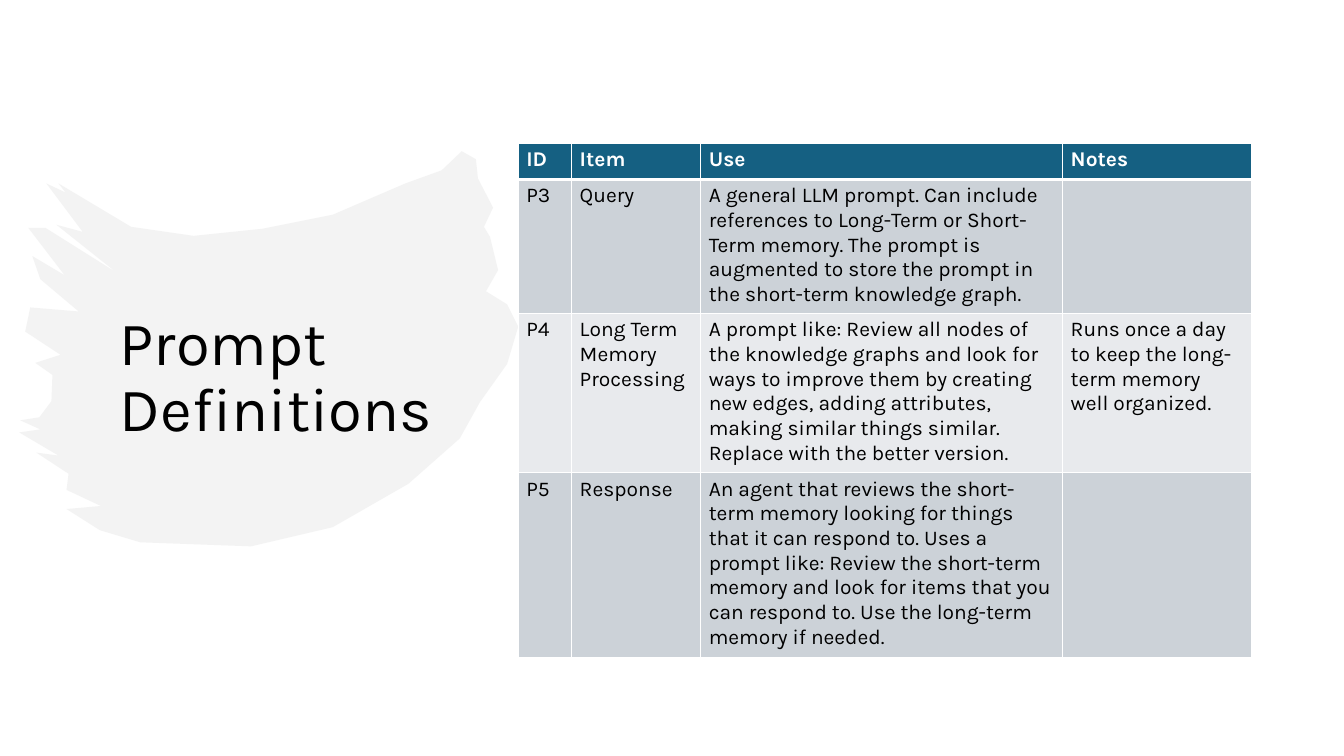
from dataclasses import dataclass

from lxml import etree
from pptx import Presentation
from pptx.dml.color import RGBColor
from pptx.enum.text import MSO_ANCHOR
from pptx.oxml.ns import qn
from pptx.util import Inches, Pt

MIDDLE = MSO_ANCHOR.MIDDLE


@dataclass(frozen=True)
class Theme:
    """Colours, font and type sizes of the slide."""
    font: str = "Karla"
    title_size: int = 44
    table_size: int = 15
    ink: str = "000000"
    white: str = "FFFFFF"
    header: str = "156082"
    bands: tuple = ("CCD2D8", "E8EAED")
    brush: str = "E8E8E8"
    brush_opacity: int = 50


THEME = Theme()

BRUSH_OUTLINE = [
    (458, 150), (472, 158), (474, 177), (489, 206), (480, 225), (486, 235),
    (494, 268), (482, 289), (503, 302), (514, 324), (503, 361), (476, 399),
    (456, 435), (405, 480), (330, 523), (249, 542), (139, 538), (99, 526),
    (66, 505), (100, 502), (66, 486), (68, 470), (36, 449), (58, 452),
    (19, 429), (40, 426), (20, 417), (39, 414), (51, 398), (52, 372),
    (35, 360), (60, 352), (25, 329), (30, 305), (78, 309), (40, 277),
    (32, 254), (64, 273), (28, 226), (45, 226), (115, 270), (56, 223),
    (82, 230), (46, 182), (65, 191), (58, 182), (130, 225), (192, 234),
    (260, 227), (330, 213), (402, 182), (438, 169),
]

COLUMN_WIDTHS = (0.53, 1.28, 3.59, 1.87)
ROW_HEIGHTS = (0.36, 1.33, 1.57, 1.57)
PROMPTS = [
    ("ID", "Item", "Use", "Notes"),
    ("P3", "Query",
     "A general LLM prompt. Can include references to Long-Term or Short-Term "
     "memory. The prompt is augmented to store the prompt in the short-term "
     "knowledge graph.", ""),
    ("P4", "Long Term Memory Processing",
     "A prompt like: Review all nodes of the knowledge graphs and look for ways "
     "to improve them by creating new edges, adding attributes, making similar "
     "things similar. Replace with the better version.",
     "Runs once a day to keep the long-term memory well organized."),
    ("P5", "Response",
     "An agent that reviews the short-term memory looking for things that it can "
     "respond to. Uses a prompt like: Review the short-term memory and look for "
     "items that you can respond to. Use the long-term memory if needed.", ""),
]


def style_text(paragraph, size, color, bold=False):
    """Set the font of every run in a paragraph."""
    for run in paragraph.runs:
        run.font.name = THEME.font
        run.font.size = Pt(size)
        run.font.bold = bold
        run.font.color.rgb = RGBColor.from_string(color)


def add_brush_stroke(slide):
    """Draw the translucent brush stroke behind the title."""
    builder = slide.shapes.build_freeform(*BRUSH_OUTLINE[0], scale=Inches(0.01))
    builder.add_line_segments(BRUSH_OUTLINE[1:], close=True)
    stroke = builder.convert_to_shape()
    stroke.shadow.inherit = False
    stroke.line.fill.background()
    stroke.fill.solid()
    stroke.fill.fore_color.rgb = RGBColor.from_string(THEME.brush)
    color = stroke.fill._xPr.find(qn("a:solidFill"))[0]
    etree.SubElement(color, qn("a:alpha"), val=str(THEME.brush_opacity * 1000))


def add_title(slide, text):
    """Add the slide title, centred vertically."""
    title = slide.shapes.add_textbox(Inches(1.09), Inches(0.75), Inches(3.82), Inches(6.01))
    frame = title.text_frame
    frame.word_wrap = True
    frame.vertical_anchor = MIDDLE
    frame.text = text
    frame.paragraphs[0].line_spacing = 0.9
    style_text(frame.paragraphs[0], THEME.title_size, THEME.ink)


def add_border(cell, side, width):
    """Put a white border on one side of a cell."""
    properties = cell._tc.get_or_add_tcPr()
    border = etree.Element(qn(f"a:{side}"), w=str(Pt(width)))
    fill = etree.SubElement(border, qn("a:solidFill"))
    etree.SubElement(fill, qn("a:srgbClr"), val=THEME.white)
    fill_position = properties.index(properties.find(qn("a:solidFill")))
    properties.insert(fill_position, border)


def fill_cell(cell, text, row):
    """Write and format one cell of the given row."""
    is_header = row == 0
    background = THEME.header if is_header else THEME.bands[(row - 1) % 2]
    cell.fill.solid()
    cell.fill.fore_color.rgb = RGBColor.from_string(background)
    cell.margin_left = cell.margin_right = Inches(0.08)
    cell.margin_top = cell.margin_bottom = Inches(0.04)
    cell.text = text
    style_text(cell.text_frame.paragraphs[0], THEME.table_size,
               THEME.white if is_header else THEME.ink, is_header)
    for side in ("lnL", "lnR", "lnT", "lnB"):
        meets_header = (row, side) in ((0, "lnB"), (1, "lnT"))
        add_border(cell, side, 3 if meets_header else 1)


def add_prompt_table(slide):
    """Add the table of prompt definitions."""
    table = slide.shapes.add_table(
        len(PROMPTS), len(COLUMN_WIDTHS), Inches(5.14), Inches(1.42),
        Inches(sum(COLUMN_WIDTHS)), Inches(sum(ROW_HEIGHTS))).table
    for column, width in zip(table.columns, COLUMN_WIDTHS):
        column.width = Inches(width)
    for row, (height, entries) in enumerate(zip(ROW_HEIGHTS, PROMPTS)):
        table.rows[row].height = Inches(height)
        for column, text in enumerate(entries):
            fill_cell(table.cell(row, column), text, row)


def main():
    """Build the slide and save it."""
    deck = Presentation()
    deck.slide_width, deck.slide_height = Inches(13.33), Inches(7.5)
    slide = deck.slides.add_slide(deck.slide_layouts[6])
    add_brush_stroke(slide)
    add_title(slide, "Prompt Definitions")
    add_prompt_table(slide)
    deck.save("out.pptx")


if __name__ == "__main__":
    main()
